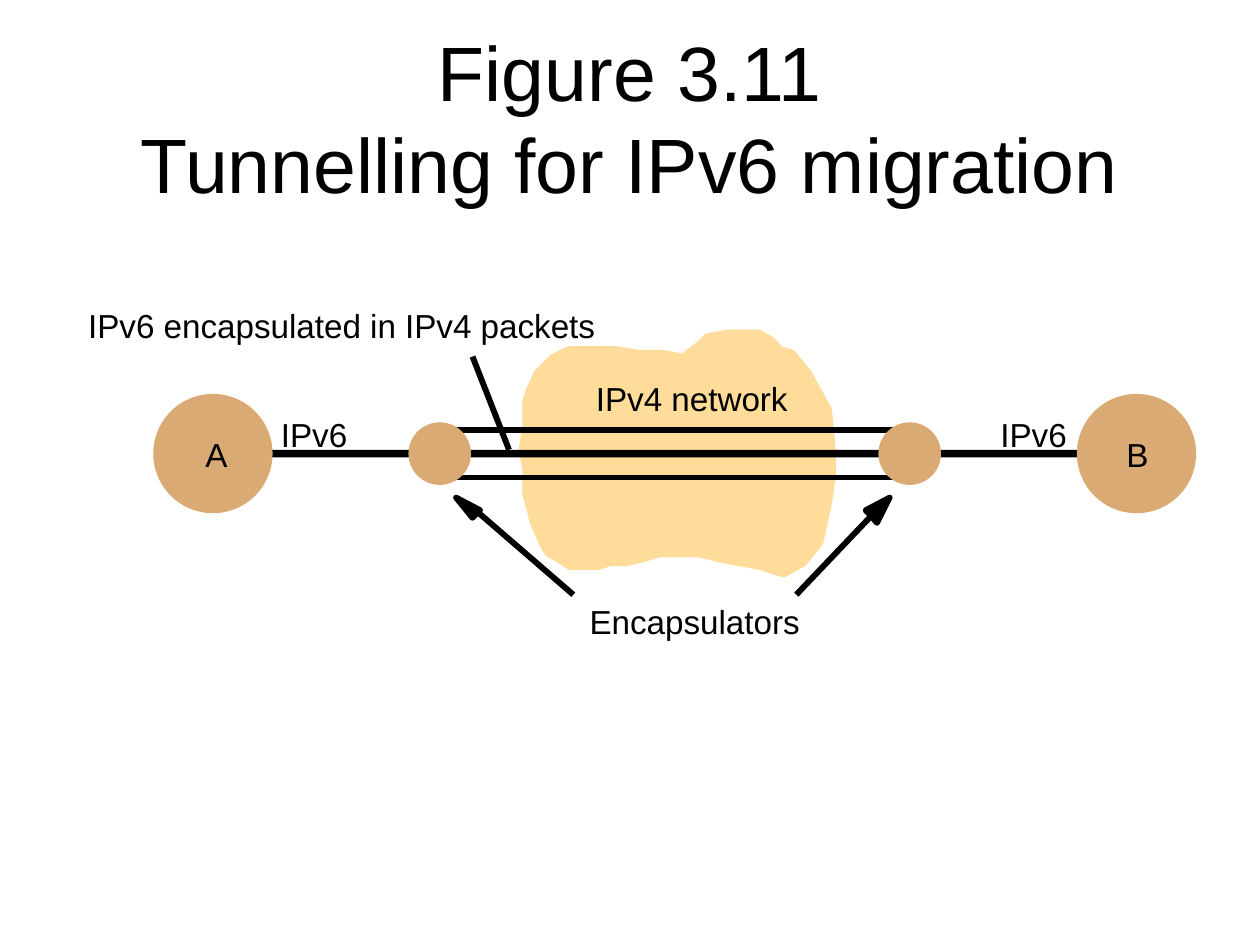
from lxml import etree
from pptx import Presentation
from pptx.dml.color import RGBColor
from pptx.enum.shapes import MSO_CONNECTOR, MSO_SHAPE
from pptx.enum.text import MSO_ANCHOR, MSO_AUTO_SIZE, PP_ALIGN
from pptx.oxml.ns import qn
from pptx.util import Inches, Pt

STRAIGHT = MSO_CONNECTOR.STRAIGHT
OVAL, RECTANGLE = MSO_SHAPE.OVAL, MSO_SHAPE.RECTANGLE
MIDDLE, CENTER, LEFT = MSO_ANCHOR.MIDDLE, PP_ALIGN.CENTER, PP_ALIGN.LEFT
NO_FIT, FIT_SHAPE = MSO_AUTO_SIZE.NONE, MSO_AUTO_SIZE.SHAPE_TO_FIT_TEXT

COLUMNS, ROWS = 10, 7.5
BLACK, NODE, CLOUD = "000000", "D9AA73", "FFDC99"
TITLE_ONLY = 5


def color(hex_code):
    return RGBColor.from_string(hex_code)


def write(frame, text, size=19, font="Arial", ink=BLACK, align=LEFT):
    """Put text in a frame as one paragraph, with a line break per new line."""
    paragraph = frame.paragraphs[0]
    paragraph.alignment = align
    for number, words in enumerate(text.splitlines()):
        if number:
            paragraph.add_line_break()
        run = paragraph.add_run()
        run.text = words
        run.font.size, run.font.name = Pt(size), font
        run.font.color.rgb = color(ink)


class Diagram:
    """Holds the slide, its grid and the line weight; places are in grid units."""

    def __init__(self, deck, line_weight=3.37):
        self.slide = deck.slides.add_slide(deck.slide_layouts[TITLE_ONLY])
        self.shapes = self.slide.shapes
        self.column = deck.slide_width / COLUMNS
        self.row = deck.slide_height / ROWS
        self.line_weight = Pt(line_weight)

    def place(self, x, y):
        return round(x * self.column), round(y * self.row)

    def paint(self, shape, fill, outlined=True):
        shape.shadow.inherit = False
        shape.fill.solid()
        shape.fill.fore_color.rgb = color(fill)
        if outlined:
            shape.line.color.rgb = color(fill)
            shape.line.width = self.line_weight
        else:
            shape.line.fill.background()

    def title(self, text, x, y, width, height):
        heading = self.shapes.title
        heading.left, heading.top = self.place(x, y)
        heading.width, heading.height = self.place(width, height)
        frame = heading.text_frame
        frame.auto_size, frame.vertical_anchor = NO_FIT, MIDDLE
        write(frame, text, size=44, align=CENTER)

    def label(self, text, x, y, width, height=0.32):
        box = self.shapes.add_textbox(*self.place(x, y), *self.place(width, height))
        frame = box.text_frame
        frame.margin_left = frame.margin_right = 0
        frame.margin_top = frame.margin_bottom = 0
        frame.word_wrap, frame.auto_size = False, FIT_SHAPE
        write(frame, text)

    def node(self, center_x, center_y, diameter):
        corner = self.place(center_x - diameter / 2, center_y - diameter / 2)
        circle = self.shapes.add_shape(OVAL, *corner, *self.place(diameter, diameter))
        self.paint(circle, NODE)

    def bar(self, x, y, width, height):
        bar = self.shapes.add_shape(
            RECTANGLE, *self.place(x, y), *self.place(width, height))
        self.paint(bar, BLACK, outlined=False)

    def line(self, start, end):
        line = self.shapes.add_connector(
            STRAIGHT, *self.place(*start), *self.place(*end))
        line.line.color.rgb = color(BLACK)
        line.line.width = self.line_weight
        etree.SubElement(line._element.spPr, qn("a:effectLst"))

    def outline(self, points, fill):
        first, *rest = [self.place(*point) for point in points]
        builder = self.shapes.build_freeform(*first, scale=1.0)
        builder.add_line_segments(rest, close=True)
        self.paint(builder.convert_to_shape(), fill)


CLOUD_EDGE = [
    (4.2, 3.09), (4.26, 2.96), (4.39, 2.83), (4.52, 2.77), (4.88, 2.77),
    (5.07, 2.8), (5.26, 2.8), (5.42, 2.83), (5.55, 2.73), (5.61, 2.67),
    (5.77, 2.64), (6.03, 2.64), (6.13, 2.7), (6.19, 2.77), (6.29, 2.8),
    (6.42, 2.96), (6.58, 3.25), (6.61, 3.57), (6.61, 3.79), (6.58, 3.99),
    (6.51, 4.31), (6.38, 4.47), (6.22, 4.56), (6.03, 4.5), (5.87, 4.47),
    (5.71, 4.44), (5.55, 4.4), (5.23, 4.4), (5.1, 4.44), (4.97, 4.47),
    (4.84, 4.47), (4.75, 4.5), (4.52, 4.5), (4.43, 4.44), (4.36, 4.4),
    (4.33, 4.37), (4.3, 4.31), (4.23, 4.15), (4.17, 3.92), (4.17, 3.73),
    (4.14, 3.57), (4.17, 3.37), (4.17, 3.18),
]
LEFT_HEAD = [(3.78, 4.08), (3.75, 4.11), (3.62, 3.95), (3.81, 4.05)]
RIGHT_HEAD = [(6.9, 4.08), (6.87, 4.05), (7.06, 3.95), (6.96, 4.15)]
AXIS = 3.6


def main():
    deck = Presentation()
    deck.slide_width, deck.slide_height = Inches(10), Inches(7.5)
    diagram = Diagram(deck)
    diagram.title("""Figure 3.11
Tunnelling for IPv6 migration""", 0.5, 0.3, 9, 1.25)

    # IPv4 network with the tunnel walls and the path through it
    diagram.outline(CLOUD_EDGE, CLOUD)
    for wall in (3.41, 3.79):
        diagram.line((3.53, wall), (7.25, wall))
    diagram.bar(1.92, 3.57, 6.97, 0.06)

    # End hosts and encapsulators
    for name, host_x, name_x in (("A", 1.69, 1.63), ("B", 9.02, 8.94)):
        diagram.node(host_x, AXIS, 0.9)
        diagram.label(name, name_x, 3.45, 0.18)
    for encapsulator_x in (3.49, 7.22):
        diagram.node(encapsulator_x, AXIS, 0.45)

    # Labels
    for link_x in (2.23, 7.94):
        diagram.label("IPv6", link_x, 3.29, 0.53)
    diagram.label("IPv6 encapsulated in IPv4 packets", 0.7, 2.42, 4.06)
    diagram.label("Encapsulators", 4.68, 4.77, 1.67)
    diagram.label("IPv4 network", 4.73, 3, 1.56)

    # Pointers from the labels
    diagram.line((3.75, 2.83), (4.04, 3.57))
    for head, start, end in ((LEFT_HEAD, (3.81, 4.08), (4.55, 4.72)),
                             (RIGHT_HEAD, (6.9, 4.11), (6.32, 4.72))):
        diagram.outline(head, BLACK)
        diagram.line(start, end)

    deck.save("out.pptx")


if __name__ == "__main__":
    main()
